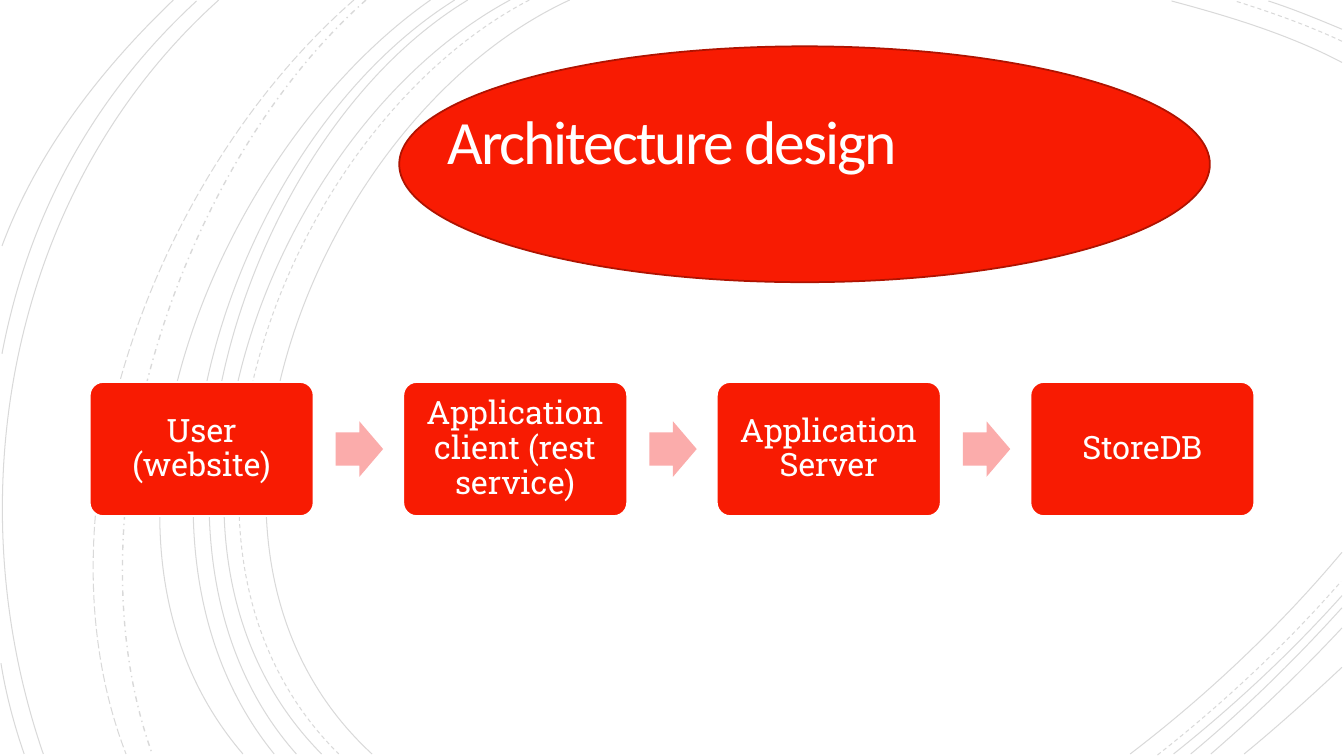
import pptx
import pptx.util
import pptx.dml.color
import pptx.enum.dml
import pptx.enum.shapes
import pptx.enum.text
import pptx.oxml.ns
import lxml.etree

inch = pptx.util.Inches
qn = pptx.oxml.ns.qn
form = pptx.enum.shapes.MSO_SHAPE
dash = pptx.enum.dml.MSO_LINE
mid = pptx.enum.text.MSO_ANCHOR.MIDDLE
red, white = "F81B02", "FFFFFF"


def tint(text):
    return pptx.dml.color.RGBColor.from_string(text)


def write(shape, text, font, size, pad, lead):
    frame = shape.text_frame
    frame.word_wrap = True
    frame.auto_size = pptx.enum.text.MSO_AUTO_SIZE.NONE
    frame.vertical_anchor = mid
    frame.margin_left = frame.margin_right = inch(pad)
    frame.margin_top = frame.margin_bottom = inch(pad)
    para = frame.paragraphs[0]
    para.alignment = pptx.enum.text.PP_ALIGN.CENTER
    para.line_spacing = lead
    run = para.add_run()
    run.text = text
    run.font.name = font
    run.font.size = pptx.util.Pt(size)
    run.font.color.rgb = tint(white)
    return run


deck = pptx.Presentation()
deck.slide_width = inch(13.33)
deck.slide_height = inch(7.5)
slide = deck.slides.add_slide(deck.slide_layouts[5])
slide.background.fill.solid()
slide.background.fill.fore_color.rgb = tint(white)
shapes = slide.shapes

arcs = {
    dash.SOLID: [
        (5.65, 0, 3.15, 1.15, 1.43, 5.4, 3.69, 7.48),
        (13.31, 0.62, 12.78, 0.34, 12.18, 0.16, 11.62, 0.01),
        (11.21, 7.48, 11.97, 6.9, 12.69, 6.22, 13.31, 5.48),
        (5.06, 0, 2.7, 1.27, 1.1, 5.37, 3.19, 7.48),
        (13.31, 0.29, 13.07, 0.19, 12.83, 0.09, 12.58, 0.01),
        (11.64, 7.48, 12.23, 7.01, 12.8, 6.48, 13.31, 5.91),
        (4.64, 0, 2.44, 1.33, 1.1, 5.41, 2.94, 7.48),
        (11.81, 7.48, 12.34, 7.04, 12.84, 6.55, 13.31, 6.03),
        (4.51, 0, 2.31, 1.38, 0.97, 5.33, 2.72, 7.48),
        (12.01, 7.48, 12.46, 7.09, 12.9, 6.67, 13.31, 6.23),
        (4.27, 0, 2.17, 1.47, 0.53, 5.29, 2.41, 7.48),
        (12.34, 7.48, 12.67, 7.21, 12.99, 6.92, 13.31, 6.62),
        (2.17, 0, 0.11, 1.85, -0.46, 4.9, 0.43, 7.48),
        (1.95, 0.01, 0.92, 0.96, 0.28, 2.14, 0.02, 3.51),
        (0.01, 6.58, 0.06, 6.89, 0.14, 7.19, 0.24, 7.48),
        (1.72, 0, 1, 0.69, 0.37, 1.5, 0.02, 2.44),
    ],
    dash.DASH: [
        (5.25, 0, 2.85, 1.25, 1.23, 5.37, 3.36, 7.48),
        (13.31, 0.41, 12.97, 0.25, 12.6, 0.12, 12.25, 0.01),
        (11.48, 7.49, 12.13, 6.98, 12.75, 6.4, 13.3, 5.77),
    ],
    dash.DASH_DOT: [(3.63, 0, 1.76, 1.66, 0.65, 5.09, 1.51, 7.48)],
    dash.LONG_DASH: [(3.51, 0, 1.57, 1.69, 0.29, 4.99, 1.25, 7.48)],
}
for style, group in arcs.items():
    for arc in group:
        spots = [(inch(x), inch(y)) for x, y in zip(arc[::2], arc[1::2])]
        pen = shapes.build_freeform(*spots[0])
        pen.add_line_segments(spots[1:], close=False)
        curve = pen.convert_to_shape()
        steps = list(curve.element.iter(qn("a:lnTo")))
        bend = lxml.etree.SubElement(steps[0].getparent(), qn("a:cubicBezTo"))
        for step in steps:
            bend.append(step[0])
            step.getparent().remove(step)
        curve.shadow.inherit = False
        curve.fill.background()
        curve.line.color.rgb = tint("000000")
        curve.line.width = pptx.util.Pt(1 if style == dash.DASH_DOT else 0.75)
        curve.line.dash_style = style
        ink = next(curve.line.fill._xPr.iter(qn("a:srgbClr")))
        lxml.etree.SubElement(ink, qn("a:alpha")).set("val", "15000")

oval = shapes.add_shape(form.OVAL, inch(3.96), inch(0.46), inch(8.04), inch(2.34))
oval.shadow.inherit = False
oval.fill.solid()
oval.fill.fore_color.rgb = tint(red)
oval.line.color.rgb = tint("AF1301")
oval.line.width = pptx.util.Pt(1.25)

title = shapes.title
title.left, title.top = inch(1.92), inch(0.87)
title.width, title.height = inch(9.49), inch(1.15)
oval.element.addnext(title.element)
run = write(title, "Architecture design", "Calibri", 44, 0.25, 0.85)
run.font._element.set("spc", "-150")

left, top, pitch = 0.89, 3.79, 3.11
wide, high = 2.22, 1.33
stages = ["User (website)", "Application client (rest service)", "Application Server", "StoreDB"]
for col, stage in enumerate(stages):
    x = left + col * pitch
    if col:
        arrow = shapes.add_shape(form.RIGHT_ARROW, inch(x - 0.67), inch(top + 0.39), inch(0.47), inch(0.55))
        arrow.adjustments[0] = 0.6
        arrow.shadow.inherit = False
        arrow.fill.solid()
        arrow.fill.fore_color.rgb = tint("FBACAB")
        arrow.line.fill.background()
    box = shapes.add_shape(form.ROUNDED_RECTANGLE, inch(x), inch(top), inch(wide), inch(high))
    box.adjustments[0] = 0.1
    box.shadow.inherit = False
    box.fill.solid()
    box.fill.fore_color.rgb = tint(red)
    box.line.color.rgb = tint(white)
    box.line.width = pptx.util.Pt(1.25)
    write(box, stage, "Roboto Slab", 23, 0.1, 0.9)

deck.save("out.pptx")
